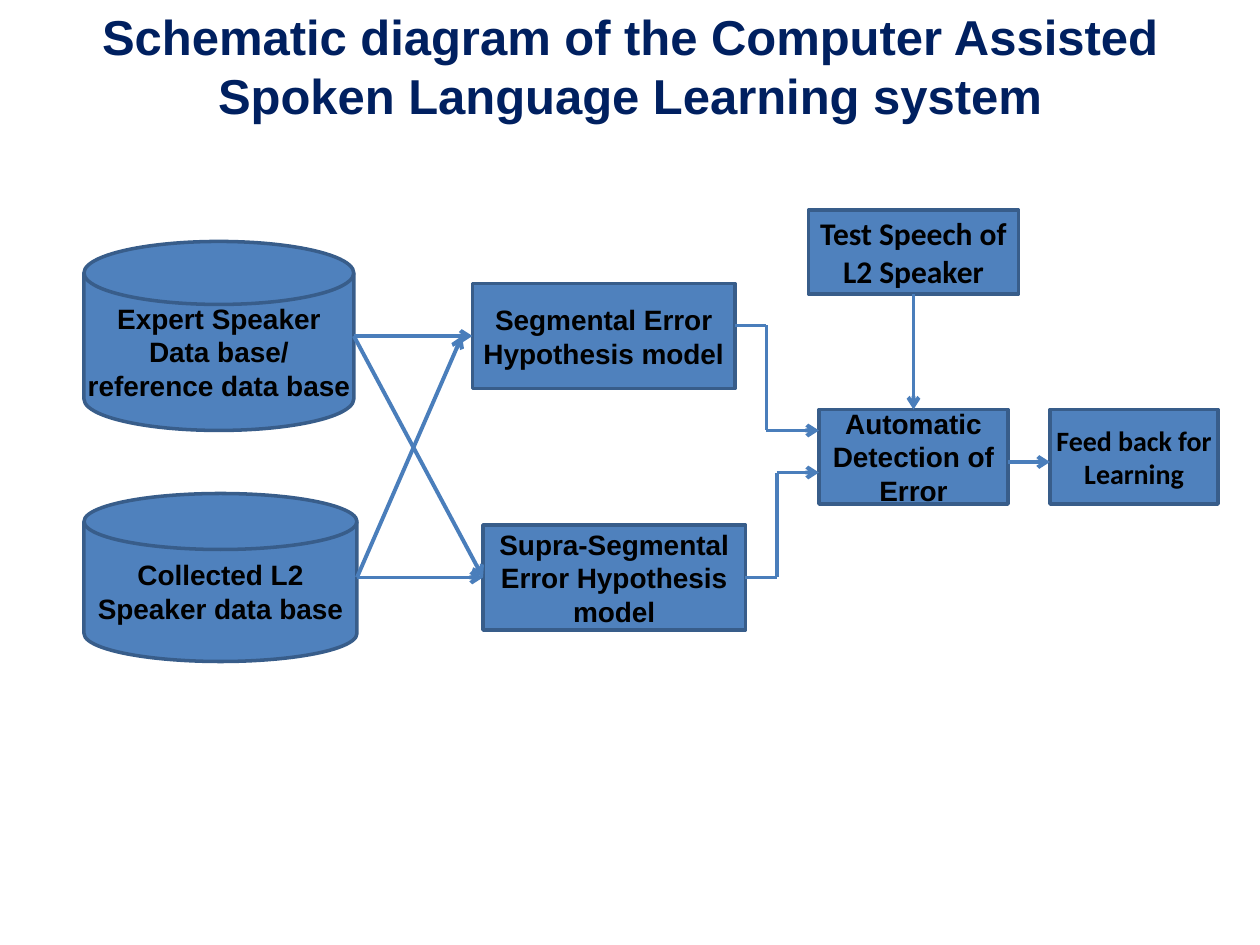
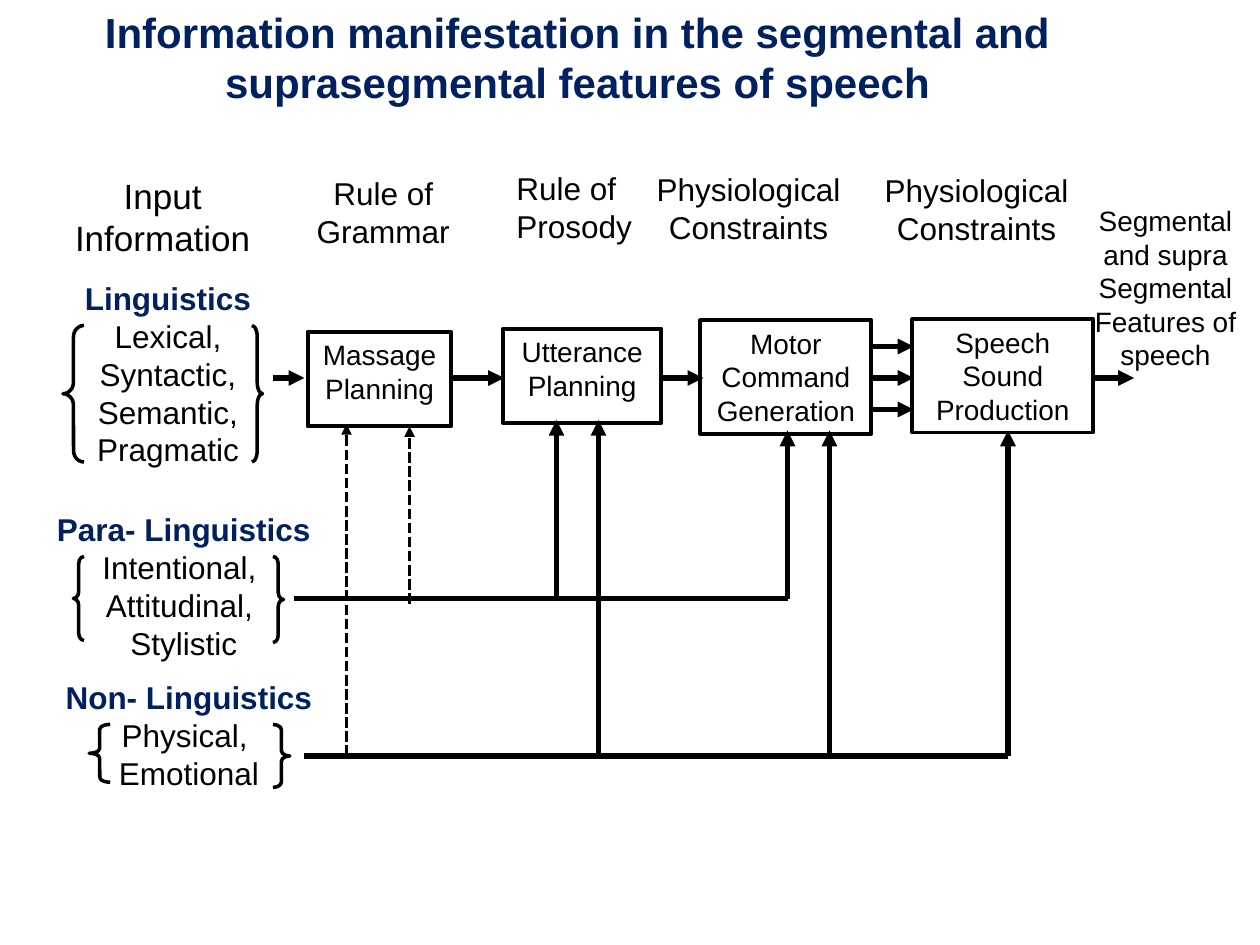
from dataclasses import dataclass
from typing import NamedTuple, Optional

from lxml.etree import SubElement
from pptx import Presentation
from pptx.dml.color import RGBColor
from pptx.enum.dml import MSO_LINE as Dash
from pptx.enum.shapes import MSO_CONNECTOR as Connector, MSO_SHAPE as Preset
from pptx.enum.text import MSO_ANCHOR as Anchor, MSO_AUTO_SIZE as AutoSize, PP_ALIGN as Align
from pptx.oxml.ns import qn
from pptx.util import Emu, Inches, Pt

PX = Inches(1) // 120
SLIDE_WIDTH, SLIDE_HEIGHT = 1200, 900
TITLE_ONLY = 5


@dataclass(frozen=True)
class Theme:
    navy: RGBColor = RGBColor(0x00, 0x20, 0x60)
    black: RGBColor = RGBColor(0x00, 0x00, 0x00)
    white: RGBColor = RGBColor(0xFF, 0xFF, 0xFF)
    blue: RGBColor = RGBColor(0x4F, 0x81, 0xBD)
    blue_edge: RGBColor = RGBColor(0x38, 0x5D, 0x8A)
    blue_arrow: RGBColor = RGBColor(0x4A, 0x7E, 0xBB)
    sans: str = "Arial"
    alternate: str = "Calibri"
    large_title: int = 28
    title: int = 24
    lead: int = 20
    label: int = 18
    body: int = 16


THEME = Theme()


class Place(NamedTuple):
    left: int
    top: int
    width: int
    height: int

    def emu(self) -> list[Emu]:
        return [Emu(length * PX) for length in self]


class TextStyle(NamedTuple):
    size: int = THEME.body
    color: RGBColor = THEME.black
    bold: bool = False
    font: str = THEME.sans
    align: Align = Align.CENTER


class BoxStyle(NamedTuple):
    fill: RGBColor
    edge: RGBColor
    edge_width: float
    anchor: Anchor
    insets: tuple[int, int]


class LineStyle(NamedTuple):
    color: RGBColor
    width: float
    head: str
    dash: Optional[Dash] = None


class Box(NamedTuple):
    place: Place
    text: str
    style: TextStyle = TextStyle()
    preset: Preset = Preset.RECTANGLE


class Label(NamedTuple):
    place: Place
    text: str
    style: TextStyle = TextStyle(THEME.label)


class Group(NamedTuple):
    """A navy heading above its items, held between two braces."""
    place: Place
    heading: str
    items: list[str]
    left_brace: Place
    right_brace: Place


class Route(NamedTuple):
    """A chain of straight segments with an arrowhead on the last one."""
    points: list[tuple[int, int]]
    style: LineStyle


BLUE_BOX = BoxStyle(THEME.blue, THEME.blue_edge, 2, Anchor.MIDDLE, (0, 0))
WHITE_BOX = BoxStyle(THEME.white, THEME.black, 2.25, Anchor.TOP, (12, 6))
BLUE_LINE = LineStyle(THEME.blue_arrow, 2.25, "arrow")
BLACK_LINE = LineStyle(THEME.black, 3, "triangle")
DASHED_LINE = LineStyle(THEME.black, 2, "triangle", Dash.SQUARE_DOT)
BOLD = TextStyle(bold=True)
GROUP_HEADING = TextStyle(THEME.label, THEME.navy, True)
GROUP_ITEM = TextStyle(THEME.label)


def write(frame, lines: list[tuple[str, TextStyle]], anchor: Anchor = Anchor.TOP,
          insets: tuple[int, int] = (12, 6)) -> None:
    frame.word_wrap = True
    frame.auto_size = AutoSize.NONE
    frame.vertical_anchor = anchor
    frame.margin_left = frame.margin_right = Emu(insets[0] * PX)
    frame.margin_top = frame.margin_bottom = Emu(insets[1] * PX)
    for index, (text, style) in enumerate(lines):
        paragraph = frame.add_paragraph() if index else frame.paragraphs[0]
        paragraph.text = text
        paragraph.alignment = style.align
        font = paragraph.font
        font.name, font.size, font.bold = style.font, Pt(style.size), style.bold
        font.color.rgb = style.color


def add_titled_slide(deck, title: str, place: Place, size: int):
    slide = deck.slides.add_slide(deck.slide_layouts[TITLE_ONLY])
    heading = slide.shapes.title
    heading.left, heading.top, heading.width, heading.height = place.emu()
    write(heading.text_frame, [(title, TextStyle(size, THEME.navy, True))])
    return slide


def add_box(slide, box: Box, look: BoxStyle) -> None:
    shape = slide.shapes.add_shape(box.preset, *box.place.emu())
    shape.shadow.inherit = False
    shape.fill.solid()
    shape.fill.fore_color.rgb = look.fill
    shape.line.color.rgb = look.edge
    shape.line.width = Pt(look.edge_width)
    write(shape.text_frame, [(box.text, box.style)], look.anchor, look.insets)


def add_text(slide, place: Place, lines: list[tuple[str, TextStyle]]) -> None:
    write(slide.shapes.add_textbox(*place.emu()).text_frame, lines)


def add_brace(slide, preset: Preset, place: Place) -> None:
    brace = slide.shapes.add_shape(preset, *place.emu())
    brace.shadow.inherit = False
    brace.adjustments[0] = place.height / 12 / place.width
    brace.fill.background()
    brace.line.color.rgb = THEME.black
    brace.line.width = Pt(2)


def add_group(slide, group: Group) -> None:
    add_text(slide, group.place, [(group.heading, GROUP_HEADING)]
             + [(item, GROUP_ITEM) for item in group.items])
    add_brace(slide, Preset.LEFT_BRACE, group.left_brace)
    add_brace(slide, Preset.RIGHT_BRACE, group.right_brace)


def add_route(slide, route: Route) -> None:
    style = route.style
    for start, end in zip(route.points, route.points[1:]):
        ends = [Emu(length * PX) for length in (*start, *end)]
        segment = slide.shapes.add_connector(Connector.STRAIGHT, *ends)
        segment.line.color.rgb = style.color
        segment.line.width = Pt(style.width)
        if style.dash is not None:
            segment.line.dash_style = style.dash
        properties = segment.element.spPr
        if end == route.points[-1]:
            SubElement(properties.find(qn("a:ln")), qn("a:tailEnd"), type=style.head)
        SubElement(properties, qn("a:effectLst"))


def build_learning_system(deck) -> None:
    slide = add_titled_slide(
        deck, "Schematic diagram of the Computer Assisted Spoken Language Learning system",
        Place(40, 0, 1120, 125), THEME.large_title)
    disk, process = Preset.FLOWCHART_MAGNETIC_DISK, Preset.FLOWCHART_PROCESS
    feedback = TextStyle(bold=True, font=THEME.alternate)
    stages = [
        Box(Place(80, 470, 260, 160), "Collected L2 Speaker data base", BOLD, disk),
        Box(Place(80, 230, 257, 180), "Expert Speaker Data base/ reference data base", BOLD, disk),
        Box(Place(450, 270, 250, 100), "Segmental Error Hypothesis model", BOLD, process),
        Box(Place(460, 500, 250, 100), "Supra-Segmental Error Hypothesis model", BOLD, process),
        Box(Place(780, 390, 180, 90), "Automatic Detection of Error", BOLD, process),
        Box(Place(1000, 390, 160, 90), "Feed back for Learning", feedback, process),
        Box(Place(770, 200, 200, 80), "Test Speech of L2 Speaker",
            feedback._replace(size=THEME.label), process),
    ]
    for stage in stages:
        add_box(slide, stage, BLUE_BOX)

    expert, collected = (337, 320), (340, 550)
    paths_between_stages = [
        [collected, (460, 550)],
        [expert, (450, 320)],
        [expert, (460, 550)],
        [collected, (440, 320)],
        [(870, 280), (870, 390)],
        [(710, 550), (740, 550), (740, 450), (780, 450)],
        [(700, 310), (730, 310), (730, 410), (780, 410)],
        [(960, 440), (1000, 440)],
    ]
    for points in paths_between_stages:
        add_route(slide, Route(points, BLUE_LINE))


def build_information_manifestation(deck) -> None:
    slide = add_titled_slide(
        deck, "Information manifestation in the segmental and suprasegmental features of speech",
        Place(60, 0, 980, 108), THEME.title)
    stages = [
        Box(Place(293, 316, 137, 90), "Massage Planning"),
        Box(Place(479, 313, 151, 90), "Utterance Planning"),
        Box(Place(667, 305, 163, 108), "Motor Command Generation"),
        Box(Place(869, 304, 172, 108), "Speech Sound Production"),
    ]
    for stage in stages:
        add_box(slide, stage, WHITE_BOX)

    labels = [
        Label(Place(40, 160, 230, 60), "Input Information", TextStyle(THEME.lead)),
        Label(Place(280, 160, 170, 78), "Rule of Grammar"),
        Label(Place(480, 155, 160, 80), "Rule of Prosody",
              TextStyle(THEME.label, align=Align.LEFT)),
        Label(Place(608, 156, 210, 78), "Physiological Constraints"),
        Label(Place(820, 157, 220, 60), "Physiological Constraints"),
        Label(Place(1020, 188, 180, 190), "Segmental and supra Segmental Features of speech",
              TextStyle()),
    ]
    for label in labels:
        add_text(slide, label.place, [(label.text, label.style)])

    groups = [
        Group(Place(40, 260, 240, 120), "Linguistics",
              ["Lexical, Syntactic, Semantic,", "Pragmatic"],
              Place(60, 310, 20, 130), Place(240, 310, 10, 130)),
        Group(Place(40, 480, 270, 95), "Para- Linguistics",
              ["Intentional, ", "Attitudinal, ", "Stylistic"],
              Place(70, 530, 10, 80), Place(260, 530, 10, 82)),
        Group(Place(30, 640, 300, 75), "Non- Linguistics",
              ["Physical, ", "Emotional"],
              Place(85, 690, 20, 55), Place(260, 690, 16, 60)),
    ]
    for group in groups:
        add_group(slide, group)

    flow_y, para_y, non_y = 360, 570, 720
    main_flow = [(260, 290), (430, 480), (630, 670), (830, 870), (1040, 1080)]
    flows = [[(start, flow_y), (end, flow_y)] for start, end in main_flow]
    flows += [[(830, flow_y + offset), (870, flow_y + offset)] for offset in (-30, 30)]
    influences = [
        [(280, para_y), (750, para_y), (750, 410)],
        [(530, para_y), (530, 400)],
        [(290, non_y), (960, non_y), (960, 410)],
        [(790, non_y), (790, 410)],
        [(570, non_y), (570, 400)],
    ]
    weak_influences = [[(330, non_y), (330, 404)], [(390, para_y + 5), (390, 406)]]
    for points in flows + influences:
        add_route(slide, Route(points, BLACK_LINE))
    for points in weak_influences:
        add_route(slide, Route(points, DASHED_LINE))


def main() -> None:
    deck = Presentation()
    deck.slide_width, deck.slide_height = Emu(SLIDE_WIDTH * PX), Emu(SLIDE_HEIGHT * PX)
    build_learning_system(deck)
    build_information_manifestation(deck)
    deck.save("out.pptx")


if __name__ == "__main__":
    main()
